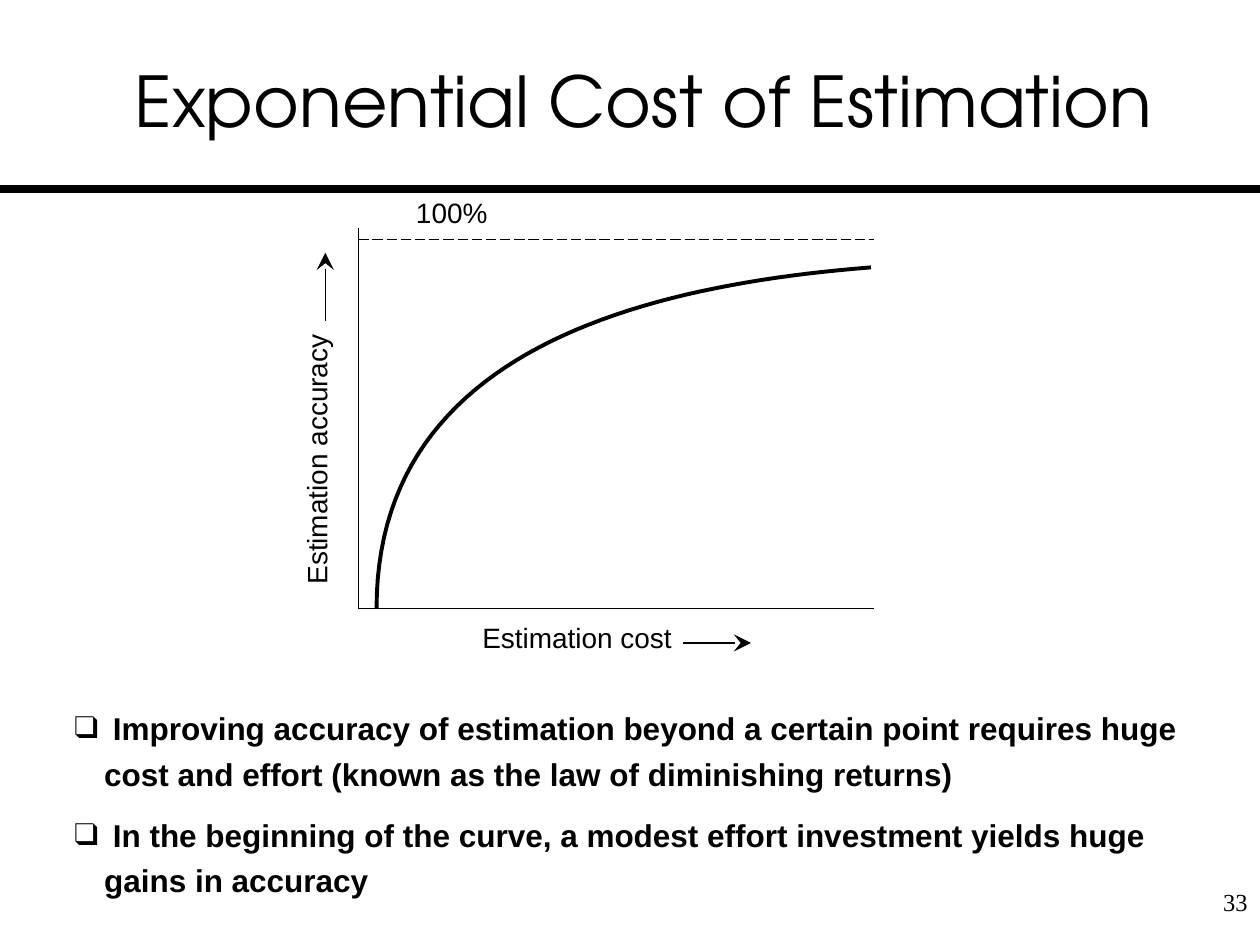
from lxml import etree
from pptx import Presentation
from pptx.dml.color import RGBColor
from pptx.enum.dml import MSO_LINE
from pptx.enum.shapes import MSO_CONNECTOR
from pptx.enum.text import MSO_ANCHOR, PP_ALIGN
from pptx.oxml.ns import qn
from pptx.util import Pt

BLACK = RGBColor(0, 0, 0)
WHITE = RGBColor(255, 255, 255)
STRAIGHT = MSO_CONNECTOR.STRAIGHT
LONG_DASH = MSO_LINE.LONG_DASH
MIDDLE = MSO_ANCHOR.MIDDLE
TOP = MSO_ANCHOR.TOP
LEFT = PP_ALIGN.LEFT
CENTER = PP_ALIGN.CENTER
RIGHT = PP_ALIGN.RIGHT

POINTS = (
    "Improving accuracy of estimation beyond a certain point requires huge "
    "cost and effort (known as the law of diminishing returns)",
    "In the beginning of the curve, a modest effort investment yields huge "
    "gains in accuracy",
)


def add_line(slide, start, end, weight=0.75, dash=None, arrow=False):
    line = slide.shapes.add_connector(STRAIGHT, *map(Pt, start + end))
    line.line.color.rgb = BLACK
    line.line.width = Pt(weight)
    if dash:
        line.line.dash_style = dash
    if arrow:
        etree.SubElement(line.line._get_or_add_ln(), qn("a:tailEnd"),
                         type="stealth", w="lg", len="lg")
    etree.SubElement(line._element.spPr, qn("a:effectLst"))


def add_text(slide, box, texts, size, font, bold=False, align=LEFT,
             anchor=TOP, margins=(0, 0)):
    holder = slide.shapes.add_textbox(*map(Pt, box))
    frame = holder.text_frame
    frame.word_wrap = True
    frame.vertical_anchor = anchor
    frame.margin_left = frame.margin_right = Pt(margins[0])
    frame.margin_top = frame.margin_bottom = Pt(margins[1])
    frame.text = "\n".join(texts)
    for paragraph in frame.paragraphs:
        paragraph.alignment = align
        paragraph.font.size = Pt(size)
        paragraph.font.name = font
        paragraph.font.bold = bold
        paragraph.font.color.rgb = BLACK
    return holder


def add_heading(slide, box):
    add_text(slide, box, ["Exponential Cost of Estimation"], 40,
             "TeX Gyre Adventor", align=CENTER, anchor=MIDDLE, margins=(0, 3.6))
    add_line(slide, (0, 108), (720, 108), 4.5)


def bezier(controls, t):
    weights = ((1 - t) ** 3, 3 * t * (1 - t) ** 2, 3 * t * t * (1 - t), t ** 3)
    return tuple(sum(w * p[axis] for w, p in zip(weights, controls))
                 for axis in (0, 1))


def add_curve(slide, controls, steps=48):
    start, *rest = [tuple(map(Pt, bezier(controls, i / steps)))
                    for i in range(steps + 1)]
    builder = slide.shapes.build_freeform(*start)
    builder.add_line_segments(rest, close=False)
    curve = builder.convert_to_shape()
    curve.shadow.inherit = False
    curve.fill.background()
    curve.line.color.rgb = BLACK
    curve.line.width = Pt(2.25)


def add_graph(slide, box):
    left, top, width, height = box

    def at(x, y):
        return left + x, top + y

    def add_label(x, y, label_width, text):
        return add_text(slide, at(x, y) + (label_width, 19.4), [text], 16, "Arial")

    origin = at(0, height)
    add_line(slide, origin, at(width, height))
    add_line(slide, origin, at(0, 0))
    add_line(slide, at(0, 6.3), at(width, 6.3), dash=LONG_DASH)
    add_curve(slide, [at(10.5, height), at(10.5, 77), at(147, 34), at(293, 22.4)])

    add_line(slide, at(185.5, 237), at(224.5, 237), arrow=True)
    add_line(slide, at(-18.8, 53), at(-18.8, 14), arrow=True)
    add_label(71, 224, 114, "Estimation cost")
    add_label(-98.9, 118.9, 150, "Estimation accuracy").rotation = 270
    add_label(33, -18.8, 48, "100%")


def add_points(slide, box):
    holder = add_text(slide, box, [" " + point for point in POINTS], 18,
                      "Arial", bold=True)
    for paragraph in holder.text_frame.paragraphs:
        paragraph.line_spacing = 1.2
        paragraph.space_after = Pt(9)
        properties = paragraph._p.get_or_add_pPr()
        properties.set("marL", str(Pt(17)))
        properties.set("indent", str(-Pt(17)))
        run_defaults = properties.find(qn("a:defRPr"))
        run_defaults.addprevious(
            etree.Element(qn("a:buFont"), typeface="Times New Roman"))
        run_defaults.addprevious(etree.Element(qn("a:buChar"), char="❑"))


def add_page_number(slide, box):
    add_text(slide, box, ["33"], 14, "Times New Roman", align=RIGHT,
             margins=(7.2, 3.6))


def main():
    deck = Presentation()
    deck.slide_width, deck.slide_height = Pt(720), Pt(540)
    slide = deck.slides.add_slide(deck.slide_layouts[6])
    slide.background.fill.solid()
    slide.background.fill.fore_color.rgb = WHITE
    add_heading(slide, (30, 12, 675.5, 90))
    add_graph(slide, (204.7, 130.4, 295, 217.4))
    add_points(slide, (42.5, 401, 633, 112.3))
    add_page_number(slide, (683.3, 503.3, 36.7, 28))
    deck.save("out.pptx")


if __name__ == "__main__":
    main()
